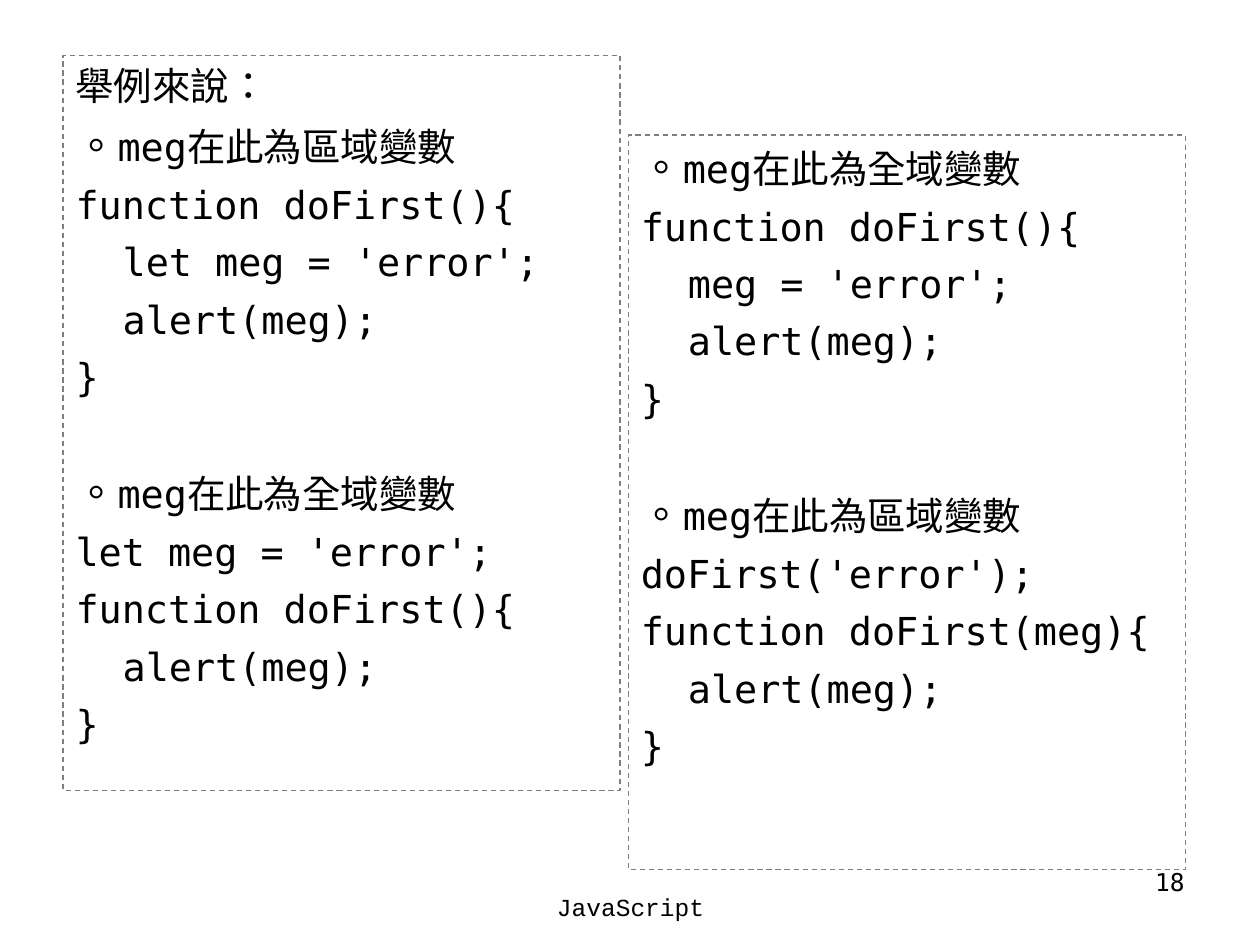
"""Build a slide on local and global variables in JavaScript."""
import pptx
import pptx.dml.color
import pptx.enum.dml
import pptx.enum.lang
import pptx.enum.shapes
import pptx.enum.text
import pptx.oxml
import pptx.oxml.ns
import pptx.util

Cm, Pt = pptx.util.Cm, pptx.util.Pt
RGB = pptx.dml.color.RGBColor.from_string
ALIGN = pptx.enum.text.PP_ALIGN
COLORS = {"text": "000000", "border": "7F7F7F"}
MONO, COURIER = "DejaVu Sans Mono", "Courier New"
MARK = "。"
HANG, TAB_STEP = Cm(0.95), Cm(2.54)
LINE_GAP, SECTION_GAP = Pt(6.4), Pt(38.4)

LEFT_SECTIONS = [
    ["舉例來說：", "。meg在此為區域變數", "function doFirst(){",
     "\tlet meg = 'error';", "\talert(meg);", "}"],
    ["。meg在此為全域變數", "let meg = 'error';", "function doFirst(){",
     "\talert(meg);", "}"],
]
RIGHT_SECTIONS = [
    ["。meg在此為全域變數", "function doFirst(){", "\tmeg = 'error';",
     "\talert(meg);", "}"],
    ["。meg在此為區域變數", "doFirst('error');", "function doFirst(meg){",
     "\talert(meg);", "}"],
]


def style(run, size, font):
    run.font.size = Pt(size)
    run.font.name = font
    run.font.color.rgb = RGB(COLORS["text"])
    run.font.language_id = pptx.enum.lang.MSO_LANGUAGE_ID.TRADITIONAL_CHINESE


def fill_panel(panel, sections, mark_font):
    panel.fill.background()
    panel.line.color.rgb = RGB(COLORS["border"])
    panel.line.width = Pt(0.75)
    panel.line.dash_style = pptx.enum.dml.MSO_LINE.DASH
    frame = panel.text_frame
    frame.word_wrap = True
    frame.auto_size = pptx.enum.text.MSO_AUTO_SIZE.NONE
    frame.vertical_anchor = pptx.enum.text.MSO_ANCHOR.TOP
    for number, section in enumerate(sections):
        for position, line in enumerate(section):
            first = number == position == 0
            paragraph = frame.paragraphs[0] if first else frame.add_paragraph()
            properties = paragraph._p.get_or_add_pPr()
            properties.set("marL", str(HANG))
            properties.set("indent", str(-HANG))
            stops = "".join(f'<a:tab pos="{step * TAB_STEP}" algn="l"/>' for step in range(8))
            for tag, content in (("buNone", ""), ("tabLst", stops)):
                properties.append(pptx.oxml.parse_xml(
                    f'<a:{tag} {pptx.oxml.ns.nsdecls("a")}>{content}</a:{tag}>'))
            paragraph.alignment = ALIGN.LEFT
            paragraph.line_spacing = 1.0
            paragraph.space_before = Pt(0) if first else LINE_GAP if position else SECTION_GAP
            if line.startswith(MARK):
                mark = paragraph.add_run()
                mark.text = MARK
                style(mark, 24, mark_font)
            words = paragraph.add_run()
            words.text = line.removeprefix(MARK)
            style(words, 22, MONO)


deck = pptx.Presentation()
deck.slide_width, deck.slide_height = Cm(25.4), Cm(19.05)
slide = deck.slides.add_slide(deck.slide_layouts[1])
title = slide.shapes.title
title._element.getparent().remove(title._element)

left_examples = slide.placeholders[1]
left_examples.left, left_examples.top = Cm(1.27), Cm(1.12)
left_examples.width, left_examples.height = Cm(11.23), Cm(14.81)
fill_panel(left_examples, LEFT_SECTIONS, MONO)

right_examples = slide.shapes.add_shape(
    pptx.enum.shapes.MSO_SHAPE.RECTANGLE, Cm(12.67), Cm(2.72), Cm(11.23), Cm(14.81))
right_examples.shadow.inherit = False
fill_panel(right_examples, RIGHT_SECTIONS, COURIER)

for label, font, alignment, left, top, width, height in (
    ("18", MONO, ALIGN.RIGHT, 18.21, 17.35, 5.92, 1.32),
    ("JavaScript", COURIER, ALIGN.CENTER, 8.69, 17.86, 8.05, 1.27),
):
    footer = slide.shapes.add_textbox(Cm(left), Cm(top), Cm(width), Cm(height)).text_frame
    footer.word_wrap = True
    footer.text = label
    footer.paragraphs[0].alignment = alignment
    style(footer.paragraphs[0].runs[0], 14, font)

deck.save("out.pptx")
